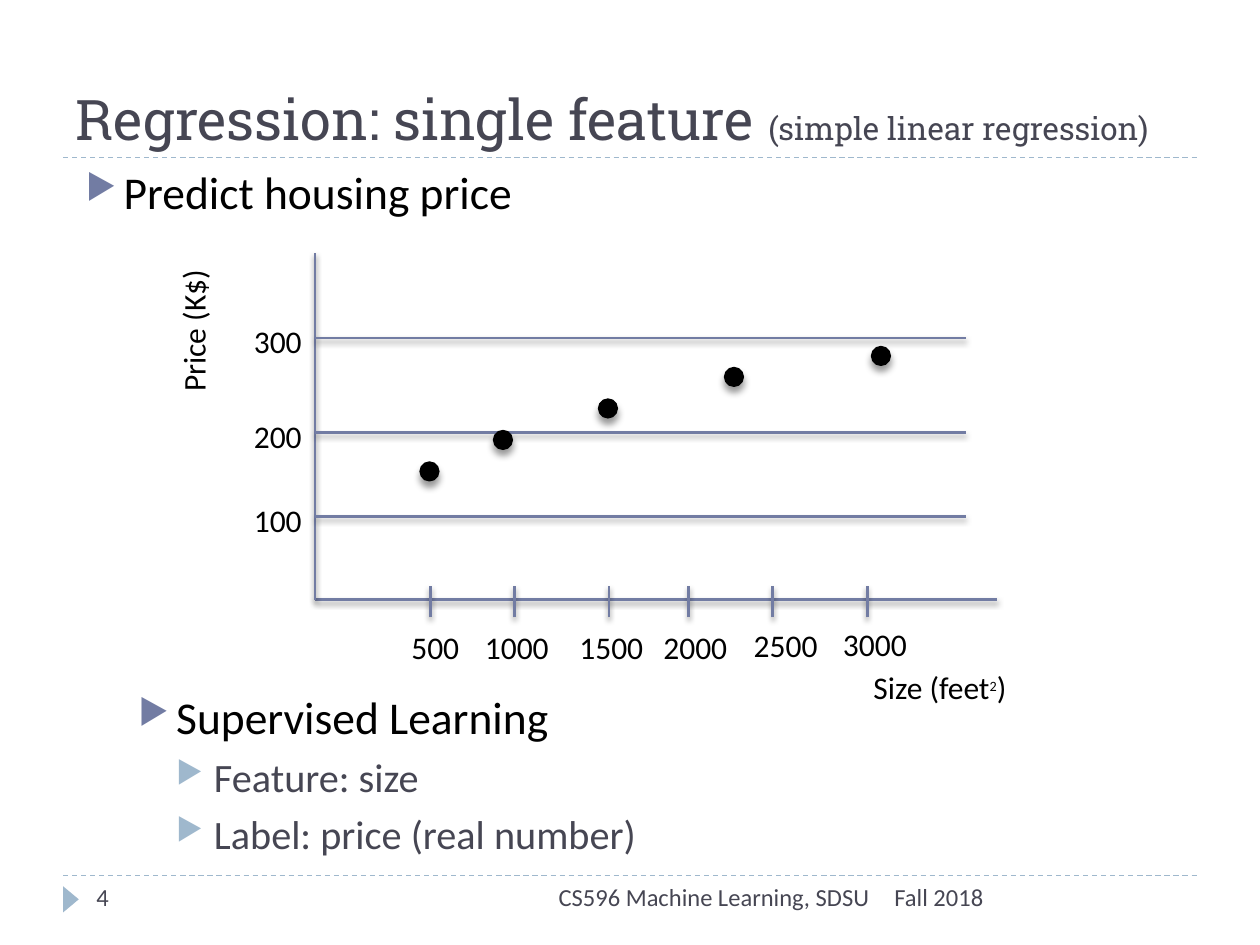
from lxml import etree
from pptx import Presentation
from pptx.dml.color import RGBColor
from pptx.enum.dml import MSO_LINE
from pptx.enum.shapes import MSO_CONNECTOR, MSO_SHAPE
from pptx.enum.text import MSO_ANCHOR, PP_ALIGN
from pptx.oxml.ns import qn
from pptx.util import Inches, Pt

STRAIGHT = MSO_CONNECTOR.STRAIGHT
OVAL, TRIANGLE = MSO_SHAPE.OVAL, MSO_SHAPE.ISOSCELES_TRIANGLE
DASH = MSO_LINE.DASH
TOP, BOTTOM = MSO_ANCHOR.TOP, MSO_ANCHOR.BOTTOM
LEFT, RIGHT = PP_ALIGN.LEFT, PP_ALIGN.RIGHT

BLACK = RGBColor(0x00, 0x00, 0x00)
SLATE = RGBColor(0x46, 0x46, 0x53)
INDIGO = RGBColor(0x72, 0x7C, 0xA3)
PALE = RGBColor(0x9F, 0xB8, 0xCD)

COLS_PER_INCH = 12
ORIGIN_X, ORIGIN_Y = 30, 57.1
GRID_END = 92
TICKS = [(500, 41, 38, 59.2), (1000, 49, 45, 59.2), (1500, 58, 54, 59.2),
         (2000, 65.6, 62, 59.2), (2500, 73.6, 70.6, 59), (3000, 82.6, 79.1, 58.9)]
LEVELS = [(100, 49.2), (200, 41.2), (300, 32.2)]
HOUSES = [(40, 44), (47, 41), (57, 38), (69, 35), (83, 33)]


def grid(*cells):
    """Turn grid counts into lengths."""
    return [Inches(c / COLS_PER_INCH) for c in cells]


def set_shadow(shape, blur=0, dist=0):
    """Give a shape a soft shadow below it, or none."""
    effects = etree.SubElement(shape._element.spPr, qn("a:effectLst"))
    if blur:
        shadow = etree.SubElement(effects, qn("a:outerShdw"), blurRad=str(Pt(blur)),
                                  dist=str(Pt(dist)), dir="5400000", rotWithShape="0")
        color = etree.SubElement(shadow, qn("a:srgbClr"), val=str(BLACK))
        etree.SubElement(color, qn("a:alpha"), val="40000")


def add_line(s, x1, y1, x2, y2):
    """Draw a shadowed line of the plot."""
    line = s.shapes.add_connector(STRAIGHT, *grid(x1, y1, x2, y2))
    line.line.color.rgb = INDIGO
    line.line.width = Pt(1.5)
    set_shadow(line, 3, 2)


def add_rule(s, y):
    """Draw a dashed rule across the slide."""
    rule = s.shapes.add_connector(STRAIGHT, *grid(6, y, 114, y))
    rule.line.color.rgb = PALE
    rule.line.width = Pt(0.75)
    rule.line.dash_style = DASH
    set_shadow(rule)


def add_shape(s, kind, color, *cells, rotation=0, outline=False):
    """Add a filled shape; outlined ones cast a shadow."""
    sp = s.shapes.add_shape(kind, *grid(*cells))
    sp.rotation = rotation
    sp.fill.solid()
    sp.fill.fore_color.rgb = color
    if outline:
        sp.line.color.rgb = color
        sp.line.width = Pt(0.75)
        set_shadow(sp, 4, 3.4)
    else:
        sp.line.fill.background()
        set_shadow(sp)


def add_box(s, *cells, wrap=True, anchor=TOP, rotation=0):
    """Add an empty text box and return its text frame."""
    sp = s.shapes.add_textbox(*grid(*cells))
    sp.rotation = rotation
    tf = sp.text_frame
    tf.word_wrap = wrap
    tf.vertical_anchor = anchor
    return tf


def add_run(p, text, size=18, color=BLACK, font="Calibri", baseline=0):
    """Add formatted text to a paragraph."""
    r = p.add_run()
    r.text = text
    r.font.size = Pt(size)
    r.font.name = font
    r.font.color.rgb = color
    if baseline:
        r._r.get_or_add_rPr().set("baseline", str(baseline * 1000))


def add_label(s, text, *cells, wrap=False, align=LEFT, rotation=0, **fmt):
    """Add a one-line text box."""
    p = add_box(s, *cells, wrap=wrap, rotation=rotation).paragraphs[0]
    p.alignment = align
    add_run(p, text, **fmt)


def add_bullets(s, items, *cells):
    """Add a list of (level, text) items with arrow bullets."""
    tf = add_box(s, *cells)
    for i, (level, text) in enumerate(items):
        p = tf.paragraphs[0] if i == 0 else tf.add_paragraph()
        p.level = level
        if i:
            p.space_before = Pt(6 - level)
        size, color, mark = ((26, BLACK, INDIGO), (23, SLATE, PALE))[level]
        pPr = p._p.get_or_add_pPr()
        pPr.set("marL", str(Inches(0.3 * (level + 1))))
        pPr.set("indent", str(Inches(-0.3)))
        bullet_color = etree.SubElement(pPr, qn("a:buClr"))
        etree.SubElement(bullet_color, qn("a:srgbClr"), val=str(mark))
        etree.SubElement(pPr, qn("a:buSzPct"), val="76000")
        etree.SubElement(pPr, qn("a:buChar"), char="▶")
        add_run(p, text, size=size, color=color)


def add_title(s):
    """Add the two-size title."""
    p = add_box(s, 6, 2, 108, 13, anchor=BOTTOM).paragraphs[0]
    add_run(p, "Regression: single feature ", size=32, color=SLATE, font="Roboto Slab")
    add_run(p, "(simple linear regression)", color=SLATE, font="Roboto Slab")


def add_plot(s):
    """Draw the price against size plot."""
    add_line(s, ORIGIN_X, ORIGIN_Y, 95, ORIGIN_Y)
    add_line(s, ORIGIN_X, ORIGIN_Y, ORIGIN_X, 24.1)
    add_label(s, "Price (K$)", 10.9, 28.6, 15, 4.8, rotation=270)
    for size, x, label_x, label_y in TICKS:
        add_line(s, x, 58.8, x, 55.8)
        add_label(s, str(size), label_x, label_y, 7 if size < 1000 else 8.5, 4.8)
    for price, y in LEVELS:
        add_line(s, ORIGIN_X, y, GRID_END, y)
        add_label(s, str(price), 23, y - 2.1, 7, 4.8)
    p = add_box(s, 82, 63, 15.8, 4.8, wrap=False).paragraphs[0]
    add_run(p, "Size (feet")
    add_run(p, "2", size=14, baseline=30)
    add_run(p, ")")
    for x, y in HOUSES:
        add_shape(s, OVAL, BLACK, x, y, 1.8, 1.8, outline=True)


def add_footer(s):
    """Add the footer texts and page marker."""
    add_shape(s, TRIANGLE, PALE, 5.5, 84.9, 2.5, 1.5, rotation=90)
    for text, x, width, align in (("Fall 2018", 84, 30, LEFT),
                                  ("CS596 Machine Learning, SDSU", 38, 46, RIGHT),
                                  ("4", 8, 26, LEFT)):
        add_label(s, text, x, 83.4, width, 4.8, wrap=True, align=align,
                  size=14, color=SLATE)


def main():
    """Build and save the slide."""
    prs = Presentation()
    prs.slide_width, prs.slide_height = grid(120, 90)
    s = prs.slides.add_slide(prs.slide_layouts[6])
    for y in (83.4, 15):
        add_rule(s, y)
    add_title(s)
    add_bullets(s, [(0, "Predict housing price")], 7, 15, 108, 9.8)
    add_bullets(s, [(0, "Supervised Learning"), (1, "Feature: size"),
                    (1, "Label: price (real number)")], 12, 65, 108, 26)
    add_plot(s)
    add_footer(s)
    prs.save("out.pptx")


if __name__ == "__main__":
    main()
